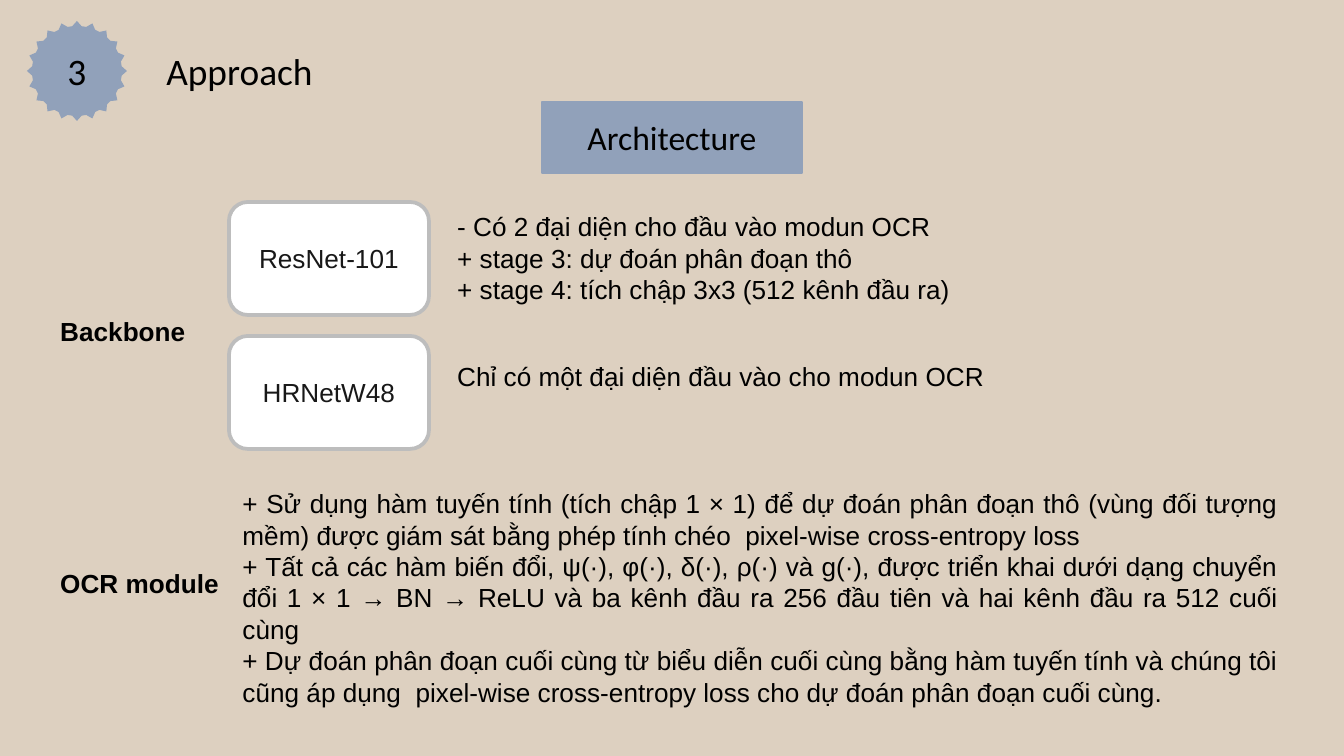
from math import cos, pi, sin

from pptx import Presentation
from pptx.dml.color import RGBColor
from pptx.enum.shapes import MSO_SHAPE
from pptx.enum.text import MSO_ANCHOR, MSO_AUTO_SIZE, PP_ALIGN
from pptx.util import Pt

PX = 914400 / 134.4
RECT, ROUNDED = MSO_SHAPE.RECTANGLE, MSO_SHAPE.ROUNDED_RECTANGLE
TOP, MIDDLE = MSO_ANCHOR.TOP, MSO_ANCHOR.MIDDLE
LEFT, CENTER, JUSTIFY = PP_ALIGN.LEFT, PP_ALIGN.CENTER, PP_ALIGN.JUSTIFY
NO_FIT, GROW = MSO_AUTO_SIZE.NONE, MSO_AUTO_SIZE.SHAPE_TO_FIT_TEXT

COLORS = {"sand": "DDD0C0", "blue": "91A1BA", "white": "FFFFFF",
          "border": "BDBDBD", "black": "000000", "ink": "181818"}
HEADING = {"name": "Calibri", "size": Pt(20), "bold": False}
SUBHEADING = {**HEADING, "size": Pt(18)}
BODY = {"name": "Arial", "size": Pt(14), "bold": False}
LABEL = {**BODY, "bold": True}

BACKBONES = [
    ("ResNet-101", 204, 109, [
        "- Có 2 đại diện cho đầu vào modun OCR",
        "+ stage 3: dự đoán phân đoạn thô",
        "+ stage 4: tích chập 3x3 (512 kênh đầu ra)"]),
    ("HRNetW48", 354, 46, ["Chỉ có một đại diện đầu vào cho modun OCR"]),
]
OCR_STEPS = [
    "+ Sử dụng hàm tuyến tính (tích chập 1 × 1) để dự đoán phân đoạn thô "
    "(vùng đối tượng mềm) được giám sát bằng phép tính chéo  pixel-wise "
    "cross-entropy loss",
    "+ Tất cả các hàm biến đổi, ψ(·), φ(·), δ(·), ρ(·) và g(·), được triển "
    "khai dưới dạng chuyển đổi 1 × 1 → BN → ReLU và ba kênh đầu ra 256 đầu "
    "tiên và hai kênh đầu ra 512 cuối cùng",
    "+ Dự đoán phân đoạn cuối cùng từ biểu diễn cuối cùng bằng hàm tuyến tính "
    "và chúng tôi cũng áp dụng  pixel-wise cross-entropy loss cho dự đoán "
    "phân đoạn cuối cùng.",
]


def px(*values):
    return [round(v * PX) for v in values]


def rgb(name):
    return RGBColor.from_string(COLORS[name])


def write(sp, lines, font, color="black", align=LEFT, anchor=TOP, fit=NO_FIT):
    tf = sp.text_frame
    for key, value in {"word_wrap": True, "auto_size": fit,
                       "vertical_anchor": anchor}.items():
        setattr(tf, key, value)
    for i, line in enumerate(lines):
        p = tf.paragraphs[0] if i == 0 else tf.add_paragraph()
        p.alignment = align
        r = p.add_run()
        r.text = line
        for key, value in font.items():
            setattr(r.font, key, value)
        r.font.color.rgb = rgb(color)


def paint(sp, fill, line=None, width=0.75):
    sp.shadow.inherit = False
    sp.fill.solid()
    sp.fill.fore_color.rgb = rgb(fill)
    if line:
        sp.line.color.rgb = rgb(line)
        sp.line.width = Pt(width)
    else:
        sp.line.fill.background()


def place(sp, box):
    for key, value in zip(("left", "top", "width", "height"), px(*box)):
        setattr(sp, key, value)


def add_badge(s, text, cx, cy, radius, teeth=20, depth=5):
    """Draw a toothed disc: each tooth is one tip and two valley points."""
    points = []
    for i in range(teeth * 3):
        a = 2 * pi * i / (teeth * 3)
        r = radius - (depth if i % 3 else 0)
        points.append(px(cx + r * sin(a), cy - r * cos(a)))
    builder = s.shapes.build_freeform(*points[0])
    builder.add_line_segments(points[1:], close=True)
    sp = builder.convert_to_shape()
    paint(sp, "blue")
    write(sp, [text], HEADING, align=CENTER, anchor=MIDDLE)


def add_box(s, kind, box, text, font, fill, line, width, color):
    sp = s.shapes.add_shape(kind, *px(*box))
    paint(sp, fill, line, width)
    write(sp, [text], font, color, CENTER, MIDDLE)


def add_text(s, box, lines, font):
    sp = s.shapes.add_textbox(*px(*box))
    write(sp, lines, font, fit=GROW)


def fill_title(s, box, text):
    sp = s.shapes.title
    place(sp, box)
    write(sp, [text], HEADING, align=CENTER, anchor=MIDDLE)


def fill_list(s, box, lines):
    """Fill the body placeholder with paragraphs without bullets or indents."""
    sp = s.placeholders[1]
    place(sp, box)
    write(sp, lines, BODY, align=JUSTIFY)
    for p in sp.text_frame.paragraphs:
        p.space_before = Pt(0)
        pPr = p._p.get_or_add_pPr()
        pPr.set("marL", "0")
        pPr.set("indent", "0")
        pPr.append(pPr.makeelement(
            "{http://schemas.openxmlformats.org/drawingml/2006/main}buNone", {}))


def main():
    prs = Presentation()
    prs.slide_width, prs.slide_height = px(1344, 756)
    s = prs.slides.add_slide(prs.slide_layouts[1])
    s.background.fill.solid()
    s.background.fill.fore_color.rgb = rgb("sand")

    add_badge(s, "3", 77, 71, 50)
    fill_title(s, (110, 40, 259, 62), "Approach")
    add_box(s, RECT, (542, 102, 260, 71), "Architecture", SUBHEADING,
            "blue", "blue", 0.75, "black")

    add_text(s, (47, 309, 159, 46), ["Backbone"], LABEL)
    for i, (name, top, height, notes) in enumerate(BACKBONES):
        add_box(s, ROUNDED, (229, 202 + 134 * i, 200, 113), name, BODY,
                "white", "border", 2, "ink")
        add_text(s, (444, top, 562, height), notes, BODY)

    add_text(s, (47, 561, 192, 46), ["OCR module"], LABEL)
    fill_list(s, (229, 481, 1063, 235), OCR_STEPS)
    prs.save("out.pptx")


if __name__ == "__main__":
    main()
